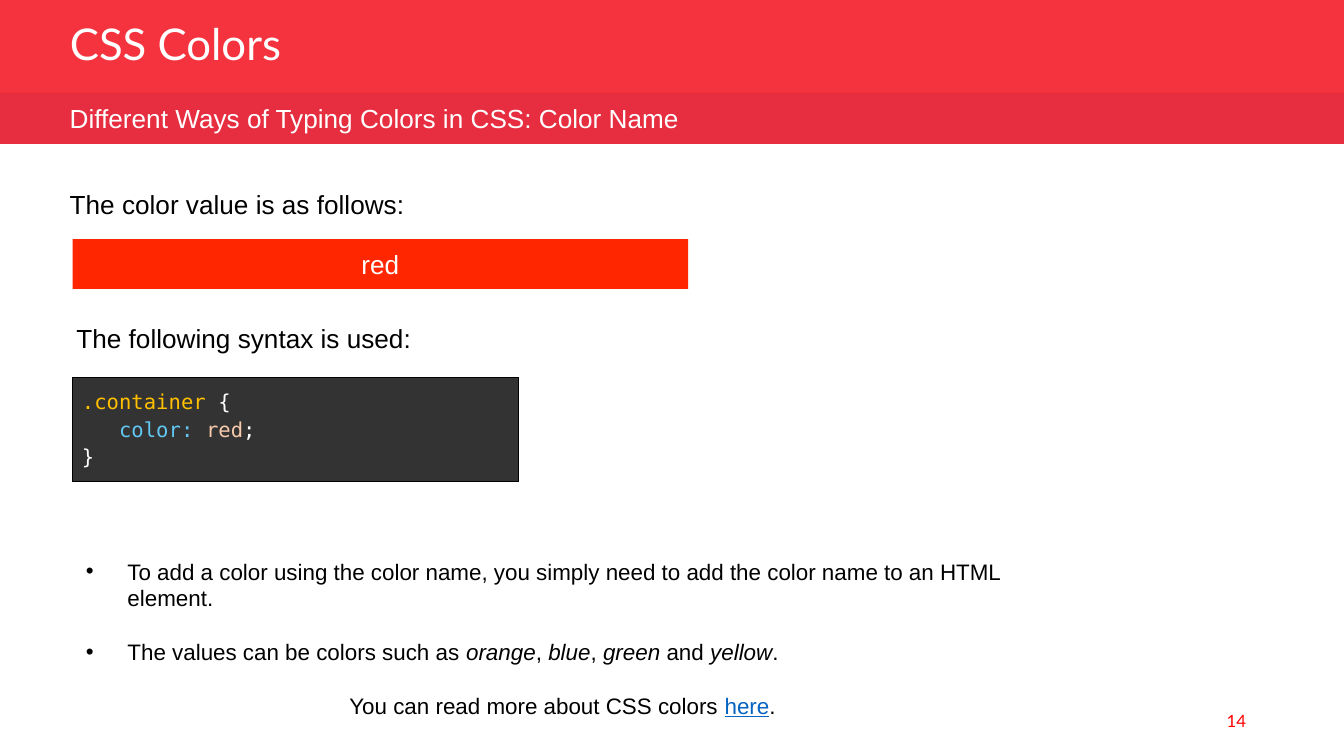
from lxml import etree
from pptx import Presentation
from pptx.dml.color import RGBColor
from pptx.enum.shapes import MSO_SHAPE
from pptx.enum.text import MSO_ANCHOR, PP_ALIGN
from pptx.oxml import parse_xml
from pptx.oxml.ns import nsdecls, qn
from pptx.util import Inches, Pt

RECTANGLE = MSO_SHAPE.RECTANGLE
TOP, MIDDLE = MSO_ANCHOR.TOP, MSO_ANCHOR.MIDDLE
LEFT, CENTER, RIGHT = PP_ALIGN.LEFT, PP_ALIGN.CENTER, PP_ALIGN.RIGHT

WHITE = RGBColor(0xFF, 0xFF, 0xFF)
BLACK = RGBColor(0, 0, 0)
HEADER_RED = RGBColor(0xF5, 0x33, 0x3F)
SUBHEADER_RED = RGBColor(0xE7, 0x2D, 0x40)
SAMPLE_RED = RGBColor(0xFF, 0x26, 0x00)
NUMBER_RED = RGBColor(0xFF, 0, 0)
LINK_BLUE = RGBColor(0x05, 0x63, 0xC1)
CODE_BACK = RGBColor(0x33, 0x33, 0x33)
SELECTOR = RGBColor(0xFF, 0xC0, 0x00)
PROPERTY = RGBColor(0x62, 0xC8, 0xF3)
VALUE = RGBColor(0xF7, 0xCA, 0xAC)


def write(para, text, size=14, font="Arial", color=BLACK, align=LEFT,
          italic=None, underline=None):
    """Append a formatted span to a paragraph and align the paragraph."""
    para.alignment = align
    span = para.add_run()
    span.text = text
    span.font.size = Pt(size)
    span.font.name = font
    span.font.color.rgb = color
    span.font.italic = italic
    span.font.underline = underline


def add_rectangle(left, top, width, height, color):
    shape = slide.shapes.add_shape(RECTANGLE, Inches(left), Inches(top),
                                   Inches(width), Inches(height))
    shape.shadow.inherit = False
    shape.fill.solid()
    shape.fill.fore_color.rgb = color
    shape.line.fill.background()
    return shape


deck = Presentation()
deck.slide_width = Inches(10)
deck.slide_height = Inches(10) * 9 // 16
slide = deck.slides.add_slide(deck.slide_layouts[5])

# Header bands, behind the title
header = add_rectangle(0, 0, 10, 0.7, HEADER_RED)
subheader = add_rectangle(0, 0.69, 10, 0.38, SUBHEADER_RED)
tree = slide.shapes._spTree
tree.insert(2, header._element)
tree.insert(3, subheader._element)

title = slide.shapes.title
title.left, title.top = Inches(0.42), Inches(0.14)
title.width, title.height = Inches(4.69), Inches(0.44)
title.text_frame.vertical_anchor = MIDDLE
title_para = title.text_frame.paragraphs[0]
title_para.line_spacing = 0.8
write(title_para, "CSS Colors", size=23.4, font="Lato", color=WHITE)

# Single-line texts
for left, top, width, height, text, anchor, style in [
    (0.42, 0.71, 5.09, 0.34,
     "Different Ways of Typing Colors in CSS: Color Name", TOP,
     {"color": WHITE}),
    (0.42, 1.35, 3.08, 0.34, "The color value is as follows:", TOP, {}),
    (0.47, 2.35, 3.62, 0.34, "The following syntax is used:", TOP, {}),
    (7.12, 5.21, 2.25, 0.3, "14", MIDDLE,
     {"size": 9, "font": "Lato", "color": NUMBER_RED, "align": RIGHT}),
]:
    box = slide.shapes.add_textbox(Inches(left), Inches(top),
                                   Inches(width), Inches(height))
    box.text_frame.word_wrap = True
    box.text_frame.vertical_anchor = anchor
    write(box.text_frame.paragraphs[0], text, **style)

# Colour sample
sample = add_rectangle(0.54, 1.78, 4.58, 0.37, SAMPLE_RED)
sample.text_frame.vertical_anchor = MIDDLE
write(sample.text_frame.paragraphs[0], "red", color=WHITE, align=CENTER)

# Code listing
table = slide.shapes.add_table(1, 1, Inches(0.54), Inches(2.81),
                               Inches(3.32), Inches(0.72)).table
table.first_row = table.horz_banding = False
cell = table.cell(0, 0)
cell.margin_left = cell.margin_right = Inches(0.07)
cell.margin_top = cell.margin_bottom = Inches(0.07)
code_lines = [
    [(".container", SELECTOR), (" ", PROPERTY), ("{", WHITE), (" ", PROPERTY)],
    [("   color: ", PROPERTY), ("red", VALUE), (";", WHITE)],
    [("}", WHITE)],
]
for index, line in enumerate(code_lines):
    para = cell.text_frame.add_paragraph() if index else cell.text_frame.paragraphs[0]
    para.line_spacing = 1.15
    for text, color in line:
        write(para, text, size=11, font="DejaVu Sans Mono", color=color)
cell_format = cell._tc.get_or_add_tcPr()
for side in ("lnL", "lnR", "lnT", "lnB"):
    cell_format.append(parse_xml(
        f'<a:{side} {nsdecls("a")} w="9525"><a:solidFill>'
        f'<a:srgbClr val="{BLACK}"/></a:solidFill></a:{side}>'))
cell.fill.solid()
cell.fill.fore_color.rgb = CODE_BACK

# Notes on colour names
notes = slide.shapes.add_textbox(Inches(0.54), Inches(4.1),
                                 Inches(7.29), Inches(1.29))
notes.text_frame.word_wrap = True
italic, link = {"italic": True}, {"color": LINK_BLUE, "underline": True}
note_paragraphs = [
    (True, [("To add a color using the color name, you simply need to add "
             "the color name to an HTML element.", {})]),
    (True, [("The values can be colors such as ", {}), ("orange", italic),
            (", ", {}), ("blue", italic), (", ", {}), ("green", italic),
            (" and ", {}), ("yellow", italic), (".", {})]),
    (False, [("You can read more about CSS colors ", {}), ("here", link),
             (".", {})]),
]
for index, (bulleted, spans) in enumerate(note_paragraphs):
    para = notes.text_frame.add_paragraph() if index else notes.text_frame.paragraphs[0]
    if bulleted:
        properties = para._p.get_or_add_pPr()
        properties.set("marL", str(Inches(0.31)))
        properties.set("indent", str(-Inches(0.31)))
        etree.SubElement(properties, qn("a:buFont")).set("typeface", "Arial")
        etree.SubElement(properties, qn("a:buChar")).set("char", "•")
    if index:
        para.space_before = Pt(14.4)
    for text, style in spans:
        write(para, text, size=12, align=LEFT if bulleted else CENTER, **style)

deck.save("out.pptx")
